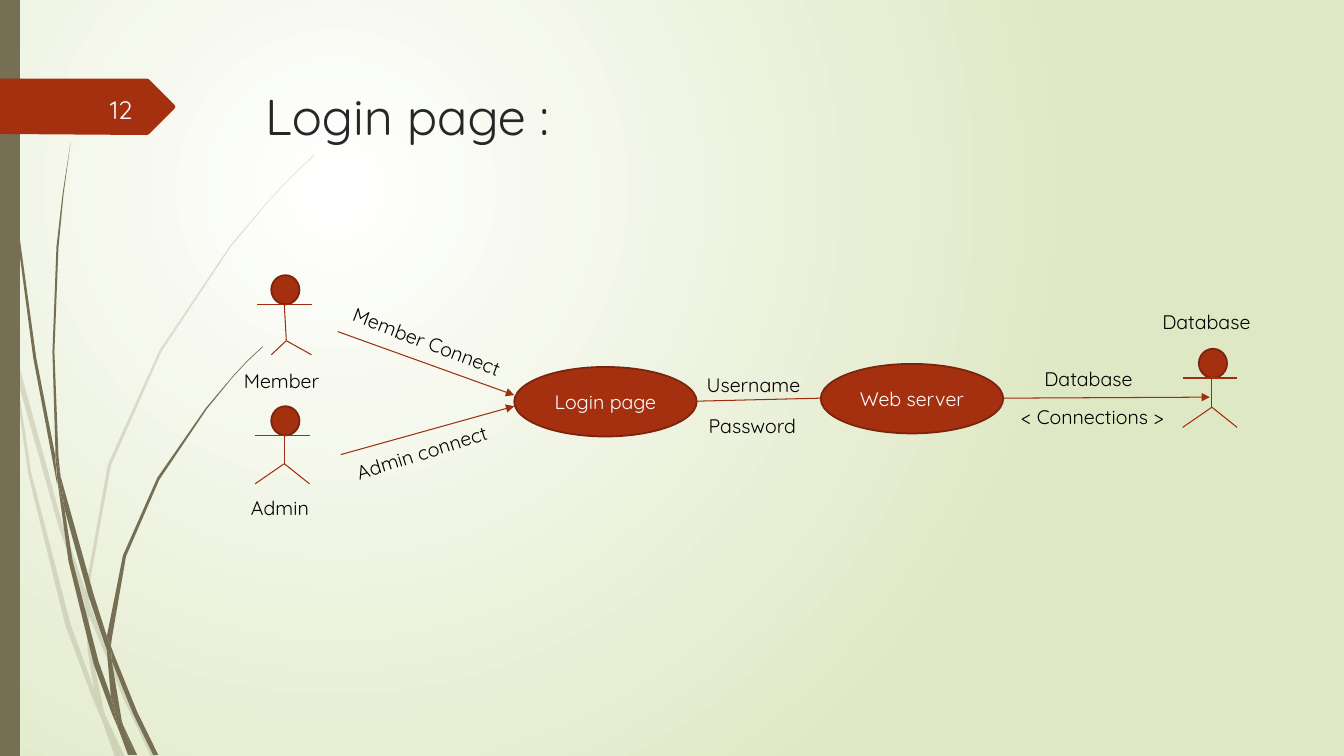
from dataclasses import dataclass

import lxml.etree
import pptx
import pptx.dml.color
import pptx.enum.dml
import pptx.enum.shapes
import pptx.enum.text
import pptx.oxml.ns
import pptx.shapes.autoshape
import pptx.shapes.shapetree
import pptx.slide
import pptx.text.text
import pptx.util

PX = 9144
FONT = "Quicksand"
BRICK = pptx.dml.color.RGBColor(0xA5, 0x30, 0x10)
BRICK_EDGE = pptx.dml.color.RGBColor(0x7A, 0x24, 0x0C)
BRICK_LINE = pptx.dml.color.RGBColor(0x9E, 0x2E, 0x0F)
OLIVE = pptx.dml.color.RGBColor(0x76, 0x6F, 0x54)
LIME = pptx.dml.color.RGBColor(0xDF, 0xE8, 0xC4)
INK = pptx.dml.color.RGBColor(0x26, 0x26, 0x26)
BLACK = pptx.dml.color.RGBColor(0, 0, 0)
WHITE = pptx.dml.color.RGBColor(0xFF, 0xFF, 0xFF)

Point = tuple[int, int]
Outline = tuple[Point, ...]


@dataclass(frozen=True)
class Label:
    text: str
    left: int
    top: int
    width: int
    height: int = 34
    rotation: float = 0
    wrap: bool = False
    size: int = 14
    color: pptx.dml.color.RGBColor = BLACK


@dataclass(frozen=True)
class Oval:
    left: int
    top: int
    width: int
    height: int
    text: str = ""


@dataclass(frozen=True)
class Link:
    start: Point
    end: Point
    arrow: bool = False


@dataclass(frozen=True)
class Actor:
    head_left: int
    neck_top: int
    hip: Point
    left_foot: int
    foot_top: int


PALE_BLADES: tuple[Outline, ...] = (
    ((11, 350), (9, 322), (0, 282), (0, 299), (10, 344)),
    ((58, 522), (84, 599), (85, 586), (62, 520), (14, 345), (17, 376)),
    ((92, 607), (88, 596), (88, 610), (123, 694), (150, 751), (155, 751), (127, 692)),
    ((119, 751), (124, 751), (105, 711)),
    ((93, 683), (70, 619), (31, 469), (17, 376), (11, 350), (28, 470), (65, 621),
     (92, 693), (101, 714), (99, 707)),
    ((84, 599), (87, 646), (93, 683), (96, 692), (105, 711), (103, 706), (91, 646),
     (88, 610), (88, 608)),
    ((88, 584), (110, 462), (160, 349), (229, 245), (268, 198), (290, 175), (312, 154),
     (312, 153), (289, 175), (268, 197), (228, 244), (158, 348), (107, 461), (85, 584),
     (85, 586), (88, 596)),
    ((101, 714), (114, 751), (119, 751)),
    ((88, 608), (88, 610), (88, 596), (85, 586), (84, 599)),
    ((96, 692), (93, 683), (99, 707), (101, 714), (119, 751), (105, 711)),
)
DARK_BLADES: tuple[Outline, ...] = (
    ((7, 110), (17, 233), (33, 355), (56, 477), (57, 481), (55, 457), (55, 453),
     (36, 355), (19, 232), (8, 109), (5, 48), (4, 0), (3, 0), (4, 48)),
    ((88, 592), (106, 645), (106, 633), (106, 631), (93, 590), (60, 472), (64, 505)),
    ((113, 649), (110, 641), (111, 656), (132, 708), (152, 749), (157, 749), (136, 706)),
    ((110, 691), (98, 657), (72, 556), (64, 505), (57, 477), (68, 557), (93, 659),
     (111, 708), (117, 722), (116, 717)),
    ((60, 472), (58, 453), (54, 349), (58, 245), (63, 193), (70, 141), (62, 193),
     (56, 245), (52, 349), (55, 449)),
    ((133, 749), (136, 749), (122, 719)),
    ((57, 477), (64, 505), (60, 472), (55, 449), (55, 453)),
    ((111, 633), (125, 552), (158, 476), (205, 406), (231, 374), (245, 359), (261, 344),
     (260, 344), (245, 358), (231, 373), (204, 405), (156, 474), (122, 551), (106, 631),
     (110, 641)),
    ((117, 722), (127, 749), (131, 749)),
    ((106, 645), (110, 691), (116, 706), (122, 719), (121, 716), (111, 656), (109, 651)),
    ((106, 645), (109, 651), (111, 656), (110, 641), (106, 631), (106, 633)),
    ((116, 706), (110, 691), (116, 717), (117, 722), (130, 749), (133, 749), (122, 719)),
)
PAGE_TAG: Outline = (
    (0, 78), (146, 78), (148, 79), (173, 104), (174, 106), (173, 108), (148, 133),
    (146, 134), (0, 133),
)
ACTORS = (
    Actor(269, 302, (284, 338), 269, 352),
    Actor(269, 432, (282, 460), 253, 480),
    Actor(1189, 375, (1202, 404), 1173, 424),
)
STAGES = (
    Oval(510, 364, 181, 69, "Login page"),
    Oval(814, 361, 181, 69, "Web server"),
)
LINKS = (
    Link((335, 329), (510, 392), arrow=True),
    Link((338, 451), (510, 403), arrow=True),
    Link((691, 398), (814, 395)),
    Link((996, 395), (1200, 394), arrow=True),
)
LABELS = (
    Label("Member", 232, 361, 102),
    Label("Admin", 239, 487, 82),
    Label("Member Connect", 335, 327, 201, 35, rotation=21, wrap=True),
    Label("Admin connect", 341, 430, 169, rotation=342.6),
    Label("Username", 691, 365, 116),
    Label("Password", 693, 406, 109),
    Label("Database", 1026, 359, 116),
    Label("< Connections >", 1003, 397, 181, wrap=True),
    Label("Database", 1143, 303, 116),
    Label("12", 99, 89, 48, 40, size=18, color=WHITE),
)


def paint_background(slide: pptx.slide.Slide) -> None:
    fill = slide.background.fill
    fill.gradient()
    for stop, color, position in zip(fill.gradient_stops, (WHITE, LIME), (0, 1)):
        stop.color.rgb = color
        stop.position = position
    linear = slide.element.find(".//" + pptx.oxml.ns.qn("a:lin"))
    radial = lxml.etree.Element(pptx.oxml.ns.qn("a:path"), {"path": "circle"})
    lxml.etree.SubElement(radial, pptx.oxml.ns.qn("a:fillToRect"),
                          {"l": "50000", "t": "50000", "r": "100000", "b": "100000"})
    linear.getparent().replace(linear, radial)


def format_text(paragraph: pptx.text.text._Paragraph, text: str, size: int,
                color: pptx.dml.color.RGBColor) -> None:
    paragraph.text = text
    paragraph.font.name = FONT
    paragraph.font.size = pptx.util.Pt(size)
    paragraph.font.color.rgb = color


def draw_outline(shapes: pptx.shapes.shapetree._BaseGroupShapes, outline: Outline,
                 color: pptx.dml.color.RGBColor) -> pptx.shapes.autoshape.Shape:
    builder = shapes.build_freeform(*outline[0], scale=PX)
    builder.add_line_segments(outline[1:], close=True)
    shape = builder.convert_to_shape()
    shape.shadow.inherit = False
    shape.fill.solid()
    shape.fill.fore_color.rgb = color
    shape.line.fill.background()
    return shape


def draw_blades(slide: pptx.slide.Slide, blades: tuple[Outline, ...], opacity: int) -> None:
    group = slide.shapes.add_group_shape()
    for blade in blades:
        shape = draw_outline(group.shapes, blade, OLIVE)
        color = shape.element.spPr.find(
            pptx.oxml.ns.qn("a:solidFill") + "/" + pptx.oxml.ns.qn("a:srgbClr"))
        lxml.etree.SubElement(color, pptx.oxml.ns.qn("a:alpha"), {"val": str(opacity * 1000)})


def draw_oval(slide: pptx.slide.Slide, oval: Oval) -> None:
    shape = slide.shapes.add_shape(
        pptx.enum.shapes.MSO_SHAPE.OVAL,
        oval.left * PX, oval.top * PX, oval.width * PX, oval.height * PX)
    shape.shadow.inherit = False
    shape.fill.solid()
    shape.fill.fore_color.rgb = BRICK
    shape.line.color.rgb = BRICK_EDGE
    shape.line.width = pptx.util.Pt(1.25)
    if oval.text:
        shape.text_frame.vertical_anchor = pptx.enum.text.MSO_ANCHOR.MIDDLE
        paragraph = shape.text_frame.paragraphs[0]
        paragraph.alignment = pptx.enum.text.PP_ALIGN.CENTER
        format_text(paragraph, oval.text, 14, WHITE)


def draw_link(slide: pptx.slide.Slide, link: Link) -> None:
    connector = slide.shapes.add_connector(
        pptx.enum.shapes.MSO_CONNECTOR.STRAIGHT,
        *(length * PX for length in link.start + link.end))
    connector.line.color.rgb = BRICK_LINE
    connector.line.width = pptx.util.Pt(0.75)
    properties = connector.element.spPr
    if link.arrow:
        line = properties.find(pptx.oxml.ns.qn("a:ln"))
        lxml.etree.SubElement(line, pptx.oxml.ns.qn("a:tailEnd"), {"type": "triangle"})
    lxml.etree.SubElement(properties, pptx.oxml.ns.qn("a:effectLst"))


def draw_actor(slide: pptx.slide.Slide, actor: Actor) -> None:
    draw_oval(slide, Oval(actor.head_left, actor.neck_top - 29, 28, 29))
    hip_left = actor.hip[0]
    right = hip_left + 25
    draw_link(slide, Link((actor.head_left + 13, actor.neck_top), actor.hip))
    draw_link(slide, Link(actor.hip, (right, actor.foot_top)))
    draw_link(slide, Link(actor.hip, (actor.left_foot, actor.foot_top)))
    draw_link(slide, Link((hip_left - 29, actor.neck_top), (right, actor.neck_top)))


def draw_label(slide: pptx.slide.Slide, label: Label) -> None:
    shape = slide.shapes.add_textbox(
        label.left * PX, label.top * PX, label.width * PX, label.height * PX)
    shape.rotation = label.rotation
    shape.text_frame.word_wrap = label.wrap
    shape.text_frame.auto_size = pptx.enum.text.MSO_AUTO_SIZE.SHAPE_TO_FIT_TEXT
    format_text(shape.text_frame.paragraphs[0], label.text, label.size, label.color)


def write_title(slide: pptx.slide.Slide, text: str) -> None:
    title = slide.shapes.title
    title.left, title.top, title.width, title.height = (
        length * PX for length in (253, 79, 559, 140))
    title.text_frame.vertical_anchor = pptx.enum.text.MSO_ANCHOR.TOP
    title.text_frame.auto_size = pptx.enum.text.MSO_AUTO_SIZE.NONE
    paragraph = title.text_frame.paragraphs[0]
    paragraph.alignment = pptx.enum.text.PP_ALIGN.LEFT
    format_text(paragraph, text, 36, INK)


def main() -> None:
    presentation = pptx.Presentation()
    presentation.slide_width = 1333 * PX
    presentation.slide_height = 750 * PX
    slide = presentation.slides.add_slide(presentation.slide_layouts[5])
    paint_background(slide)
    write_title(slide, "Login page :")
    draw_blades(slide, PALE_BLADES, opacity=20)
    draw_blades(slide, DARK_BLADES, opacity=100)
    draw_outline(slide.shapes, ((0, 0), (20, 0), (20, 750), (0, 750)), OLIVE)
    draw_outline(slide.shapes, PAGE_TAG, BRICK)
    for actor in ACTORS:
        draw_actor(slide, actor)
    for stage in STAGES:
        draw_oval(slide, stage)
    for link in LINKS:
        draw_link(slide, link)
    for label in LABELS:
        draw_label(slide, label)
    presentation.save("out.pptx")


if __name__ == "__main__":
    main()
